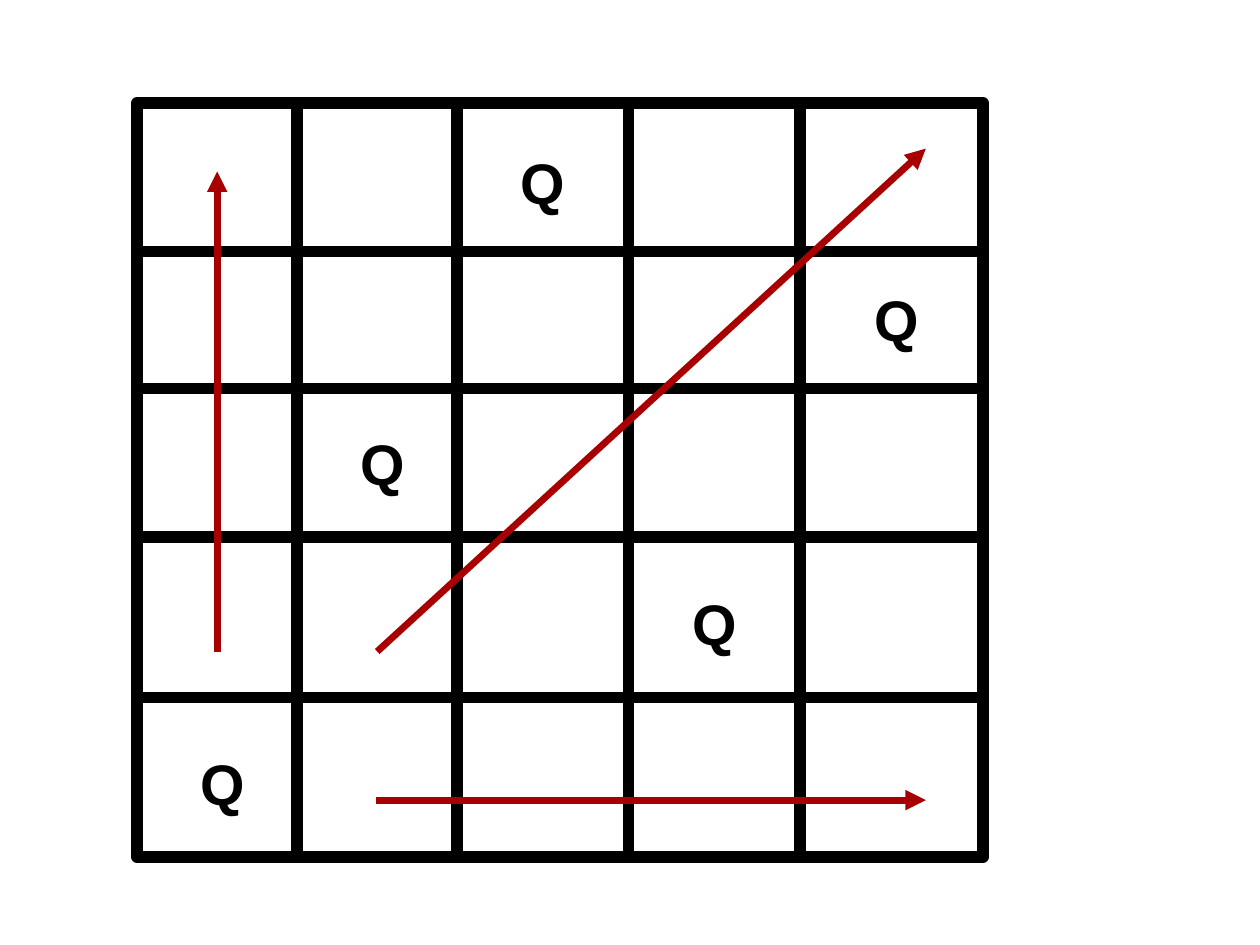
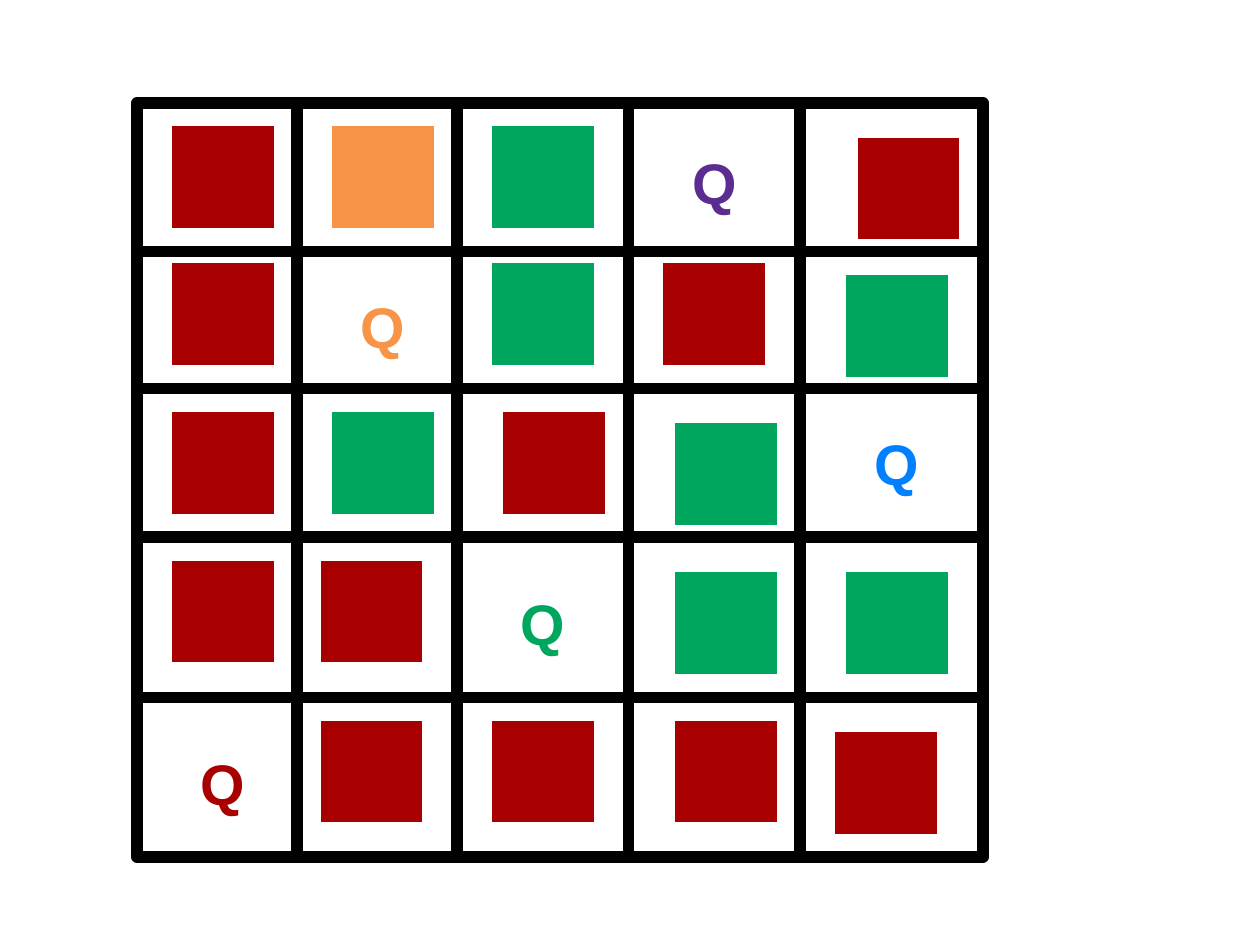
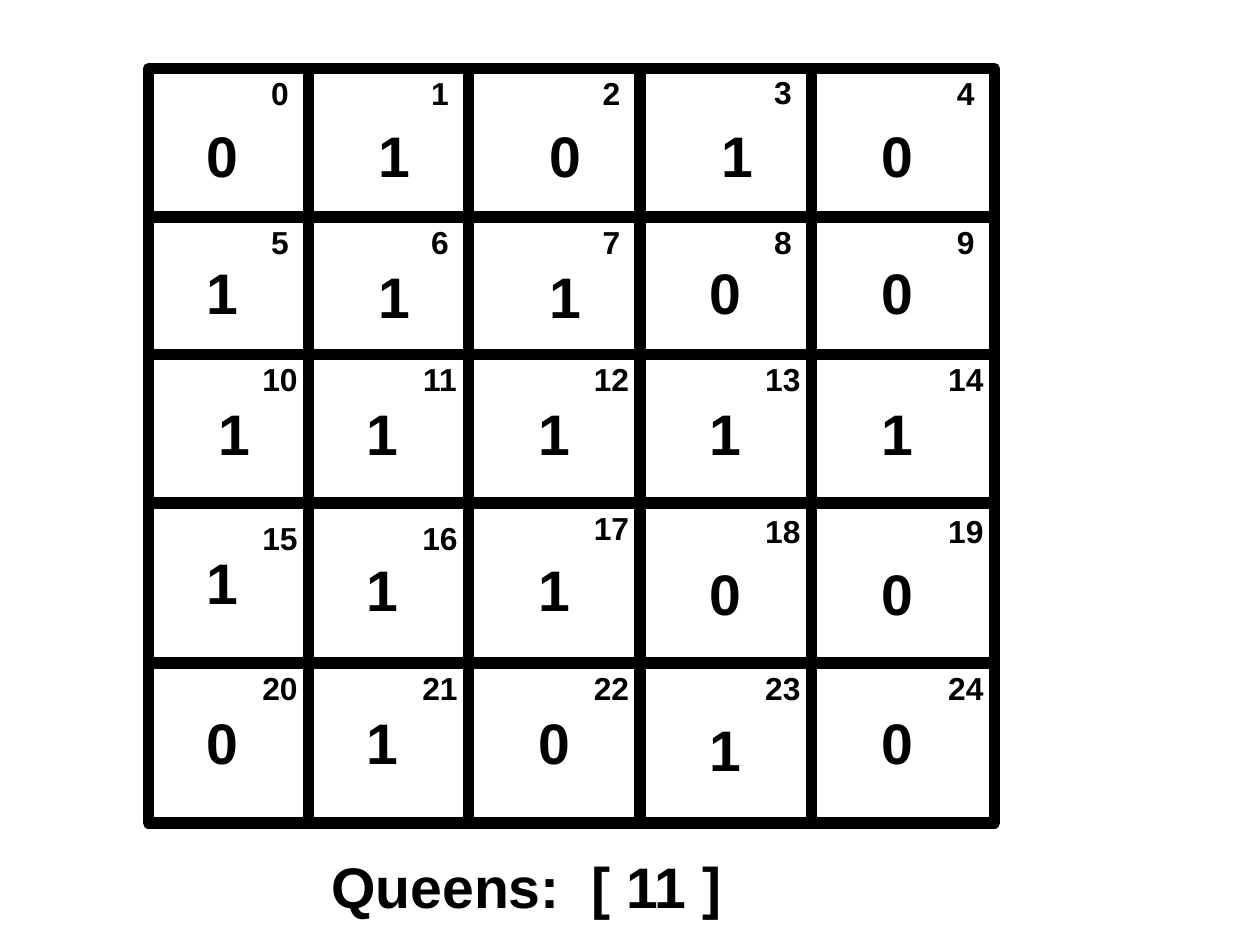
from dataclasses import dataclass, field

from pptx import Presentation
from pptx.dml.color import RGBColor
from pptx.enum.shapes import MSO_CONNECTOR, MSO_SHAPE
from pptx.enum.text import PP_ALIGN
from pptx.oxml.ns import qn
from pptx.util import Inches, Pt
from lxml import etree

RECT = MSO_SHAPE.RECTANGLE
STRAIGHT = MSO_CONNECTOR.STRAIGHT
CENTER, LEFT = PP_ALIGN.CENTER, PP_ALIGN.LEFT
FONT = "Arial"
BLACK, WHITE, RED = "000000", "FFFFFF", "A80000"
GREEN, BLUE, VIOLET, ORANGE = "00A65D", "007FFF", "5C2D91", "F79448"
COLORS = {"R": RED, "G": GREEN, "O": ORANGE}

CM_PER_INCH = 2.54
SLIDE_W, SLIDE_H = 28 / CM_PER_INCH, 21 / CM_PER_INCH
BOARD_W, BOARD_H = 7.4, 6.6
COL_EDGES = (0, 1.4, 2.8, 4.3, 5.8, 7.4)
ROW_EDGES = (0, 1.3, 2.5, 3.8, 5.2, 6.6)
GRID_PT, ARROW_PT = 7.2, 4.31
CELL_W, SQUARE, LETTER_H, INDEX_H = 0.9, 0.9, 0.66, 0.41

Nudges = dict[tuple[int, int], tuple[float, float]]


@dataclass(frozen=True)
class Board:
    left: float
    top: float


@dataclass(frozen=True)
class Layout:
    xs: tuple[float, ...]
    ys: tuple[float, ...]
    nudges: Nudges = field(default_factory=dict)

    def at(self, row: int, col: int) -> tuple[float, float]:
        dx, dy = self.nudges.get((row, col), (0, 0))
        return self.xs[col] + dx, self.ys[row] + dy


@dataclass(frozen=True)
class Queen:
    row: int
    col: int
    color: str = BLACK


@dataclass(frozen=True)
class Arrow:
    x1: float
    y1: float
    x2: float
    y2: float


QUEEN_BOARD = Board(1.2, 0.9)
INDEX_BOARD = Board(1.3, 0.6)
CELL_XS = (1.5, 2.9, 4.3, 5.8, 7.4)
QUEEN_YS = (1.24, 2.44, 3.7, 5.1, 6.5)
QUEENS = Layout(CELL_XS, QUEEN_YS)
COLORED_QUEENS = Layout(CELL_XS, QUEEN_YS, {(1, 1): (0, 0.06)})
SQUARES = Layout(CELL_XS, (1.1, 2.3, 3.6, 4.9, 6.3), {
    (0, 4): (0.1, 0.1), (1, 4): (0, 0.1), (2, 2): (0.1, 0),
    (2, 3): (0.1, 0.1), (3, 1): (-0.1, 0), (3, 3): (0.1, 0.1),
    (3, 4): (0, 0.1), (4, 1): (-0.1, 0), (4, 3): (0.1, 0),
    (4, 4): (-0.1, 0.1),
})
DIGITS = Layout((1.5, 2.9, 4.4, 5.9, 7.4), (1, 2.2, 3.44, 4.8, 6.14), {
    (0, 1): (0.1, 0), (0, 2): (0.1, 0), (0, 3): (0.1, 0),
    (1, 1): (0.1, 0.04), (1, 2): (0.1, 0.04), (2, 0): (0.1, 0),
    (3, 0): (0, -0.06), (3, 3): (0, 0.04), (3, 4): (0, 0.04),
    (4, 3): (0, 0.06),
})
INDICES = Layout(
    tuple(INDEX_BOARD.left + x - 0.7 for x in COL_EDGES[1:]),
    tuple(INDEX_BOARD.top + y for y in ROW_EDGES[:-1]),
    {
        (0, 3): (0, -0.01), (3, 0): (0, 0.09), (3, 1): (0, 0.09),
        (3, 3): (0, 0.03), (3, 4): (0, 0.03),
    },
)

BLACK_QUEENS = [Queen(0, 2), Queen(1, 4), Queen(2, 1), Queen(3, 3), Queen(4, 0)]
COLOR_QUEENS = [
    Queen(0, 3, VIOLET), Queen(1, 1, ORANGE), Queen(2, 4, BLUE),
    Queen(3, 2, GREEN), Queen(4, 0, RED),
]
ATTACKS = [
    Arrow(1.9, 5.7, 1.9, 1.5),
    Arrow(3.3, 5.7, 8.1, 1.3),
    Arrow(3.29, 7, 8.1, 7),
]
ATTACKED = ("ROG.R", "R.GRG", "RGRG.", "RR.GG", ".RRRR")
GENES = ("01010", "11100", "11111", "11100", "01010")


def rgb(color: str) -> RGBColor:
    return RGBColor.from_string(color)


def add_rect(s, x: float, y: float, w: float, h: float,
             fill: str | None, line: str, width: float):
    sp = s.shapes.add_shape(RECT, Inches(x), Inches(y), Inches(w), Inches(h))
    sp.shadow.inherit = False
    if fill:
        sp.fill.solid()
        sp.fill.fore_color.rgb = rgb(fill)
    else:
        sp.fill.background()
    sp.line.color.rgb = rgb(line)
    sp.line.width = Pt(width)
    return sp


def add_line(s, arrow: Arrow, color: str, width: float, head: bool = False) -> None:
    c = s.shapes.add_connector(STRAIGHT, Inches(arrow.x1), Inches(arrow.y1),
                               Inches(arrow.x2), Inches(arrow.y2))
    c.line.color.rgb = rgb(color)
    c.line.width = Pt(width)
    sp_pr = c._element.spPr
    if head:
        etree.SubElement(sp_pr.find(qn("a:ln")), qn("a:tailEnd"), type="triangle")
    etree.SubElement(sp_pr, qn("a:effectLst"))


def add_text(s, text: str, x: float, y: float, w: float = CELL_W,
             h: float = LETTER_H, size: float = 36, color: str = BLACK,
             align: PP_ALIGN = CENTER) -> None:
    tf = s.shapes.add_textbox(Inches(x), Inches(y), Inches(w), Inches(h)).text_frame
    tf.word_wrap = True
    p = tf.paragraphs[0]
    p.alignment = align
    r = p.add_run()
    r.text = text
    r.font.name = FONT
    r.font.size = Pt(size)
    r.font.bold = True
    r.font.color.rgb = rgb(color)


def draw_board(s, board: Board) -> None:
    left, top = board.left, board.top
    frame = add_rect(s, left, top, BOARD_W, BOARD_H, None, BLACK, GRID_PT)
    etree.SubElement(frame._element.spPr.find(qn("a:ln")), qn("a:round"))
    for x in COL_EDGES[1:]:
        add_line(s, Arrow(left + x, top, left + x, top + BOARD_H), BLACK, GRID_PT)
    for y in ROW_EDGES[1:-1]:
        add_line(s, Arrow(left + BOARD_W, top + y, left, top + y), BLACK, GRID_PT)


def draw_queens(s, queens: list[Queen], layout: Layout) -> None:
    for q in queens:
        add_text(s, "Q", *layout.at(q.row, q.col), color=q.color)


def new_slide(prs, board: Board):
    s = prs.slides.add_slide(prs.slide_layouts[6])
    draw_board(s, board)
    return s


def build_attacks(prs) -> None:
    s = new_slide(prs, QUEEN_BOARD)
    draw_queens(s, BLACK_QUEENS, QUEENS)
    for arrow in ATTACKS:
        add_line(s, arrow, RED, ARROW_PT, head=True)


def build_attacked_cells(prs) -> None:
    s = new_slide(prs, QUEEN_BOARD)
    draw_queens(s, COLOR_QUEENS, COLORED_QUEENS)
    for row, codes in enumerate(ATTACKED):
        for col, code in enumerate(codes):
            if code in COLORS:
                x, y = SQUARES.at(row, col)
                add_rect(s, x, y, SQUARE, SQUARE, COLORS[code], WHITE, 0.75)


def build_genes(prs) -> None:
    s = new_slide(prs, INDEX_BOARD)
    for row, genes in enumerate(GENES):
        for col, gene in enumerate(genes):
            add_text(s, gene, *DIGITS.at(row, col))
            index = str(row * len(genes) + col)
            add_text(s, index, *INDICES.at(row, col), h=INDEX_H, size=20)
    add_text(s, "Queens:  [ 11 ]", 2.8, 7.4, w=4.3, h=0.76, align=LEFT)


def main() -> None:
    prs = Presentation()
    prs.slide_width = Inches(SLIDE_W)
    prs.slide_height = Inches(SLIDE_H)
    build_attacks(prs)
    build_attacked_cells(prs)
    build_genes(prs)
    prs.save("out.pptx")


if __name__ == "__main__":
    main()
